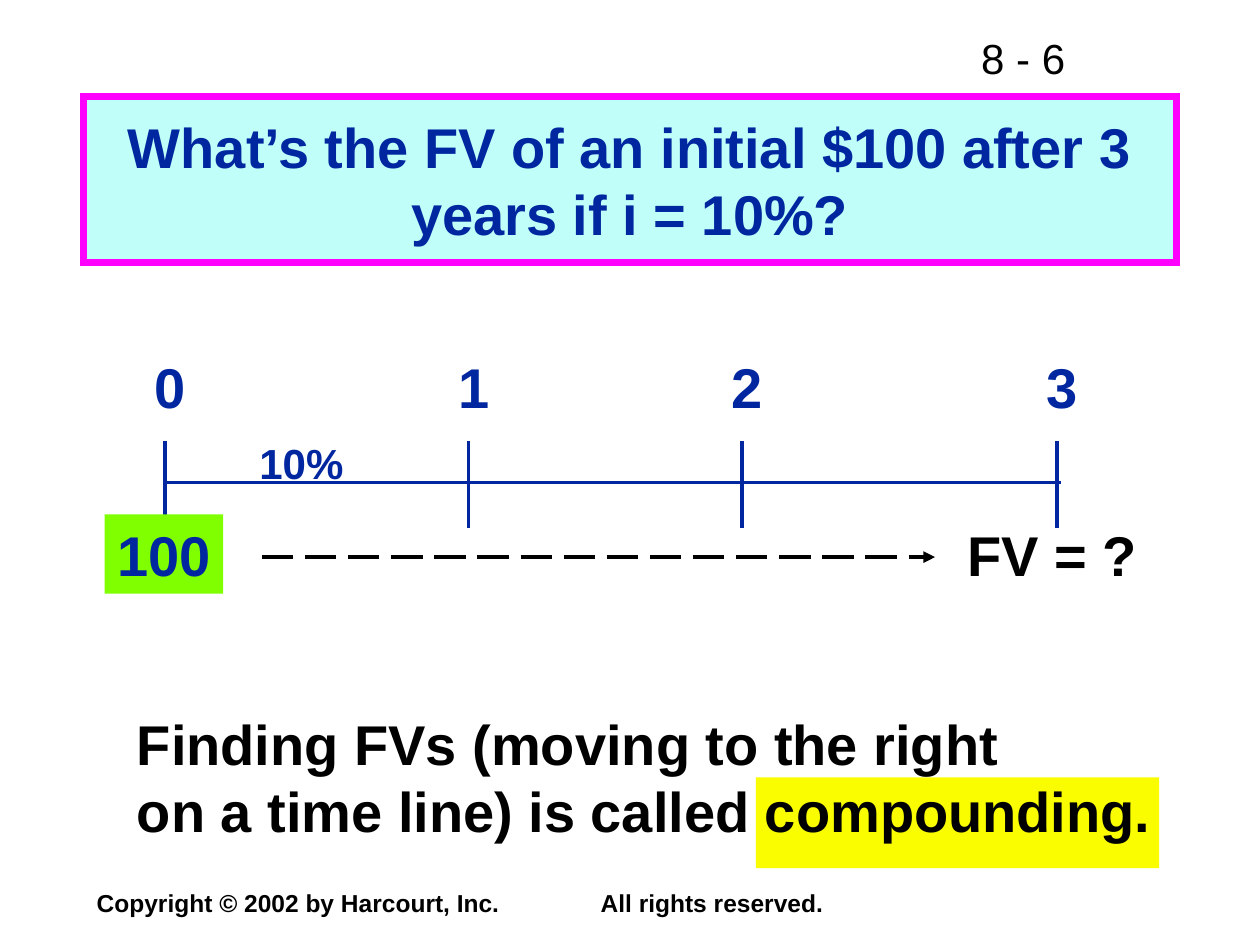
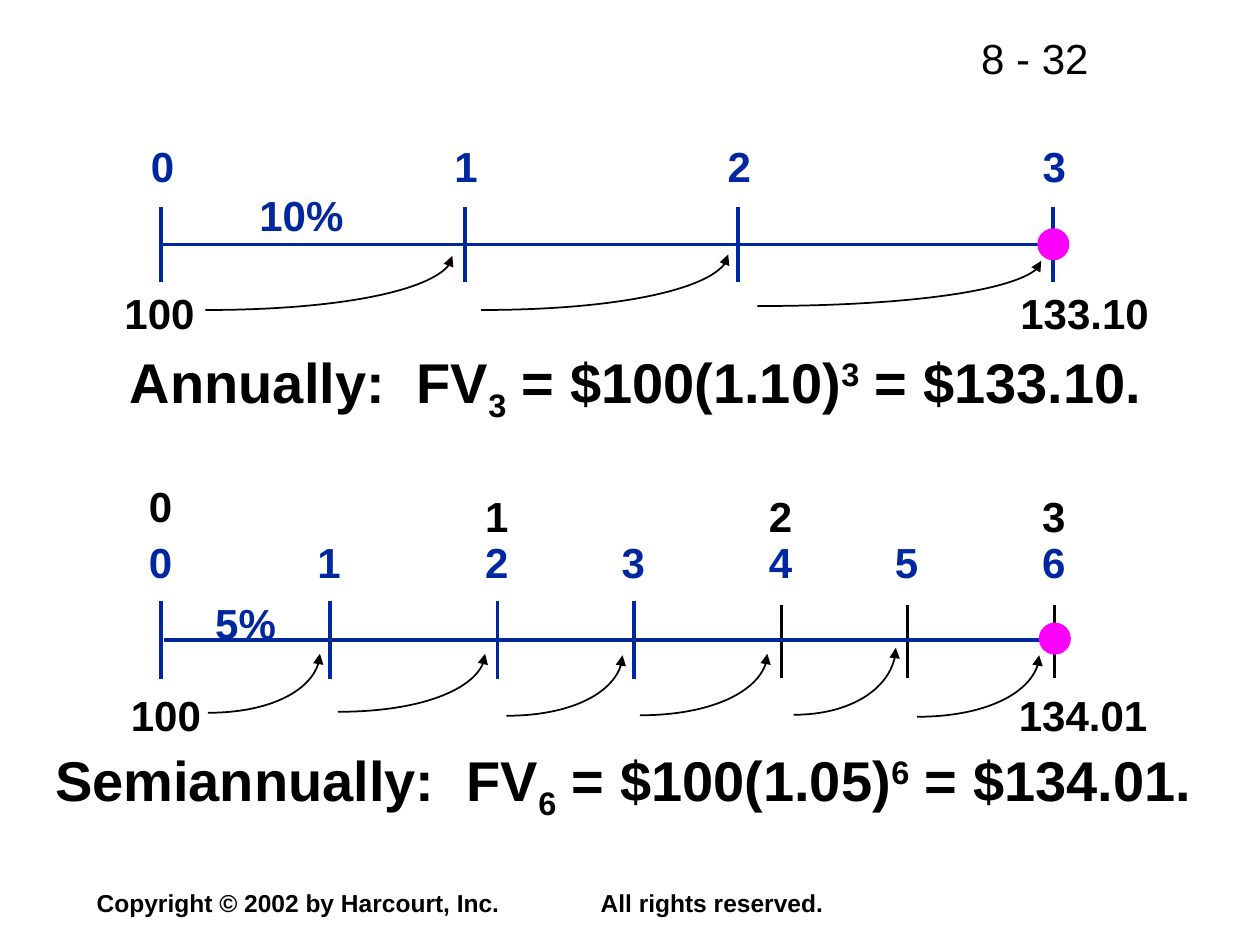
from dataclasses import dataclass

from lxml.etree import SubElement
from pptx import Presentation
from pptx.dml.color import RGBColor
from pptx.enum.dml import MSO_LINE
from pptx.enum.shapes import MSO_CONNECTOR, MSO_SHAPE
from pptx.enum.text import MSO_ANCHOR, MSO_AUTO_SIZE, PP_ALIGN
from pptx.oxml.ns import qn
from pptx.util import Cm, Pt


@dataclass(frozen=True)
class Theme:
    """Colours, font and type sizes of the deck."""
    ink: str = "000000"
    blue: str = "00279F"
    pink: str = "FF00FF"
    aqua: str = "C0FEF9"
    lime: str = "7FFF00"
    yellow: str = "FAFD00"
    font: str = "Arial"
    big: int = 32
    mid: int = 24
    small: int = 14


THEME = Theme()
YEARS = (3.25, 9.37, 14.88, 21.23)
HALVES = (3.25, 6.65, 10.03, 12.78, 15.75, 18.29, 21.26)


def rgb(code):
    """Return the colour for a hex code."""
    return RGBColor.from_string(code)


def write(frame, words, size=THEME.mid, tint=THEME.ink, bold=True, tab=None,
          align=PP_ALIGN.LEFT, anchor=MSO_ANCHOR.TOP, wrap=False, grow=True):
    """Fill a text frame with lines, each a string or a list of (text, baseline)."""
    frame.word_wrap = wrap
    frame.auto_size = MSO_AUTO_SIZE.SHAPE_TO_FIT_TEXT if grow else MSO_AUTO_SIZE.NONE
    frame.vertical_anchor = anchor
    lines = [words] if isinstance(words, str) else words
    for rank, line in enumerate(lines):
        para = frame.add_paragraph() if rank else frame.paragraphs[0]
        para.alignment = align
        if tab:
            stops = SubElement(para._p.get_or_add_pPr(), qn("a:tabLst"))
            SubElement(stops, qn("a:tab"), pos=str(Cm(tab)), algn="l")
        for part, base in [(line, 0)] if isinstance(line, str) else line:
            run = para.add_run()
            run.text = part
            font = run.font
            font.name, font.size, font.bold = THEME.font, Pt(size), bold
            font.color.rgb = rgb(tint)
            if base:
                run._r.get_or_add_rPr().set("baseline", str(base * 1000))


def label(page, words, x, y, w, h=1.27, **look):
    """Add a text box."""
    box = page.shapes.add_textbox(Cm(x), Cm(y), Cm(w), Cm(h))
    write(box.text_frame, words, **look)


def block(page, kind, x, y, w, h, fill):
    """Add a plain filled shape."""
    shape = page.shapes.add_shape(kind, Cm(x), Cm(y), Cm(w), Cm(h))
    shape.shadow.inherit = False
    shape.fill.solid()
    shape.fill.fore_color.rgb = rgb(fill)
    shape.line.fill.background()
    return shape


def stroke(line, tint, width, dash=None, arrow=False):
    """Format a line with sharp corners, and an arrowhead at its end if asked."""
    line.color.rgb = rgb(tint)
    line.width = Pt(width)
    if dash:
        line.dash_style = dash
    edge = line._get_or_add_ln()
    SubElement(edge, qn("a:miter"), lim="800000")
    if arrow:
        SubElement(edge, qn("a:tailEnd"), type="triangle")


def rule(page, x1, y1, x2, y2, tint=THEME.blue, width=2, **look):
    """Add a straight line."""
    link = page.shapes.add_connector(
        MSO_CONNECTOR.STRAIGHT, Cm(x1), Cm(y1), Cm(x2), Cm(y2))
    stroke(link.line, tint, width, **look)
    SubElement(link._element.spPr, qn("a:effectLst"))


def swoop(page, x, y, w, h):
    """Add a quarter-ellipse arrow that rises to the right."""
    bend = 0.55
    pen = page.shapes.build_freeform(Cm(x), Cm(y + h))
    spots = [(x + bend * w, y + h), (x + w, y + bend * h), (x + w, y)]
    pen.add_line_segments([(Cm(a), Cm(b)) for a, b in spots], close=False)
    shape = pen.convert_to_shape()
    shape.shadow.inherit = False
    shape.fill.background()
    stroke(shape.line, THEME.ink, 1, arrow=True)
    trace = next(shape._element.iter(qn("a:path")))
    curve, *rest = trace.findall(qn("a:lnTo"))
    curve.tag = qn("a:cubicBezTo")
    for leg in rest:
        curve.append(leg[0])
        trace.remove(leg)


def ticks(page, stops, top, foot, tint=THEME.blue):
    """Add one upright mark at each stop."""
    for x in stops:
        rule(page, x, top, x, foot, tint)


def count(page, stops, y, shift=0.5, w=0.97, h=1.27, **look):
    """Number the stops from zero."""
    for rank, x in enumerate(stops):
        label(page, str(rank), x - shift, y, w, h, **look)


def dot(page, x, y):
    """Add the round mark at the end of a time line."""
    shape = block(page, MSO_SHAPE.OVAL, x, y, 0.61, 0.61, THEME.pink)
    stroke(shape.line, THEME.pink, 1)


def sum_up(page, lead, term, base, total, x, y, w, tab):
    """Add a future value formula."""
    parts = [(f"{lead}:\tFV", 0), (term, -25), (f" = $100({base})", 0),
             (term, 30), (f" = ${total}.", 0)]
    label(page, [parts], x, y, w, 1.78, size=THEME.big, tab=tab)


def start(deck, layout, number):
    """Add a slide with its page number and copyright line."""
    page = deck.slides.add_slide(deck.slide_layouts[layout])
    label(page, f"8 - {number}", 19.53, 0.53, 5.59, bold=False)
    label(page, "Copyright © 2002 by Harcourt, Inc.\tAll rights reserved.",
          1.7, 17.78, 22.02, 0.84, size=THEME.small, tab=10.16,
          anchor=MSO_ANCHOR.MIDDLE, grow=False)
    return page


def headline(page, words):
    """Place and format the title."""
    title = page.shapes.title
    title.left, title.top, title.width, title.height = map(Cm, (1.69, 1.95, 22.02, 3.35))
    title.fill.solid()
    title.fill.fore_color.rgb = rgb(THEME.aqua)
    stroke(title.line, THEME.pink, 4)
    write(title.text_frame, words, size=THEME.big, tint=THEME.blue, wrap=True,
          align=PP_ALIGN.CENTER, anchor=MSO_ANCHOR.MIDDLE, grow=False)


def growth(deck):
    """Build the slide that asks for the future value."""
    page = start(deck, 5, 6)
    headline(page, "What’s the FV of an initial $100 after 3 years if i = 10%?")
    stops = [x + 0.08 for x in YEARS]
    blue = {"size": THEME.big, "tint": THEME.blue}
    ticks(page, stops, 8.89, 10.64)
    rule(page, stops[0], 9.73, 21.39, 9.73)
    count(page, stops, 6.99, 0.46, 1.14, 1.6, **blue)
    label(page, "10%", 4.98, 8.7, 2.25, tint=THEME.blue)
    cash = block(page, MSO_SHAPE.RECTANGLE, 2.11, 10.37, 2.39, 1.6, THEME.lime)
    write(cash.text_frame, "100", **blue)
    rule(page, 5.28, 11.23, 18.85, 11.23, THEME.ink, 2.25,
         dash=MSO_LINE.LONG_DASH, arrow=True)
    label(page, "FV = ?", 19.25, 10.36, 3.94, 1.6, size=THEME.big)
    block(page, MSO_SHAPE.RECTANGLE, 15.24, 15.67, 8.13, 1.83, THEME.yellow)
    label(page, ["Finding FVs (moving to the right",
                 "on a time line) is called compounding."],
          2.51, 14.17, 20.98, 2.95, size=THEME.big)


def yearly(page):
    """Draw the time line with one step a year."""
    ticks(page, YEARS, 4.17, 5.69)
    rule(page, 3.28, 4.93, 21.21, 4.93)
    count(page, YEARS, 2.71, 0.46, tint=THEME.blue)
    label(page, "10%", 4.98, 3.7, 2.25, tint=THEME.blue)
    label(page, "100", 2.26, 5.68, 2)
    label(page, "133.10", 20.32, 5.68, 3.2)
    for spot in ((4.14, 5.16, 4.98, 1.09), (9.7, 5.13, 4.98, 1.12),
                 (15.27, 5.26, 5.72, 0.91)):
        swoop(page, *spot)
    dot(page, 20.93, 4.62)
    sum_up(page, "Annually", "3", "1.10", "133.10", 2.37, 6.88, 21, 5.78)


def halved(page):
    """Draw the time line with two steps a year."""
    ticks(page, HALVES[:4], 12.12, 13.69)
    ticks(page, HALVES[4:], 12.19, 13.67, THEME.ink)
    rule(page, 3.3, 12.9, 21.21, 12.9)
    count(page, HALVES, 10.7, tint=THEME.blue)
    for year, x in enumerate(HALVES[::2]):
        label(page, str(year), x - 0.5, 9.77 if year else 9.56, 0.97)
    label(page, "5%", 4.09, 11.93, 1.8, tint=THEME.blue)
    label(page, "100", 2.39, 13.77, 2)
    label(page, "134.01", 20.29, 13.77, 3.2)
    for spot in ((4.19, 13.18, 2.26, 1.19), (6.81, 13.18, 2.97, 1.17),
                 (10.21, 13.21, 2.34, 1.22), (12.9, 13.18, 2.57, 1.24),
                 (16, 13.06, 2.06, 1.35), (18.49, 13.21, 2.46, 1.24)):
        swoop(page, *spot)
    dot(page, 20.96, 12.57)
    sum_up(page, "Semiannually", "6", "1.05", "134.01", 0.86, 14.91, 23.5, 8.3)


def main():
    """Build and save the deck."""
    deck = Presentation()
    deck.slide_width, deck.slide_height = Cm(25.4), Cm(19.05)
    growth(deck)
    page = start(deck, 6, 32)
    yearly(page)
    halved(page)
    deck.save("out.pptx")


if __name__ == "__main__":
    main()
